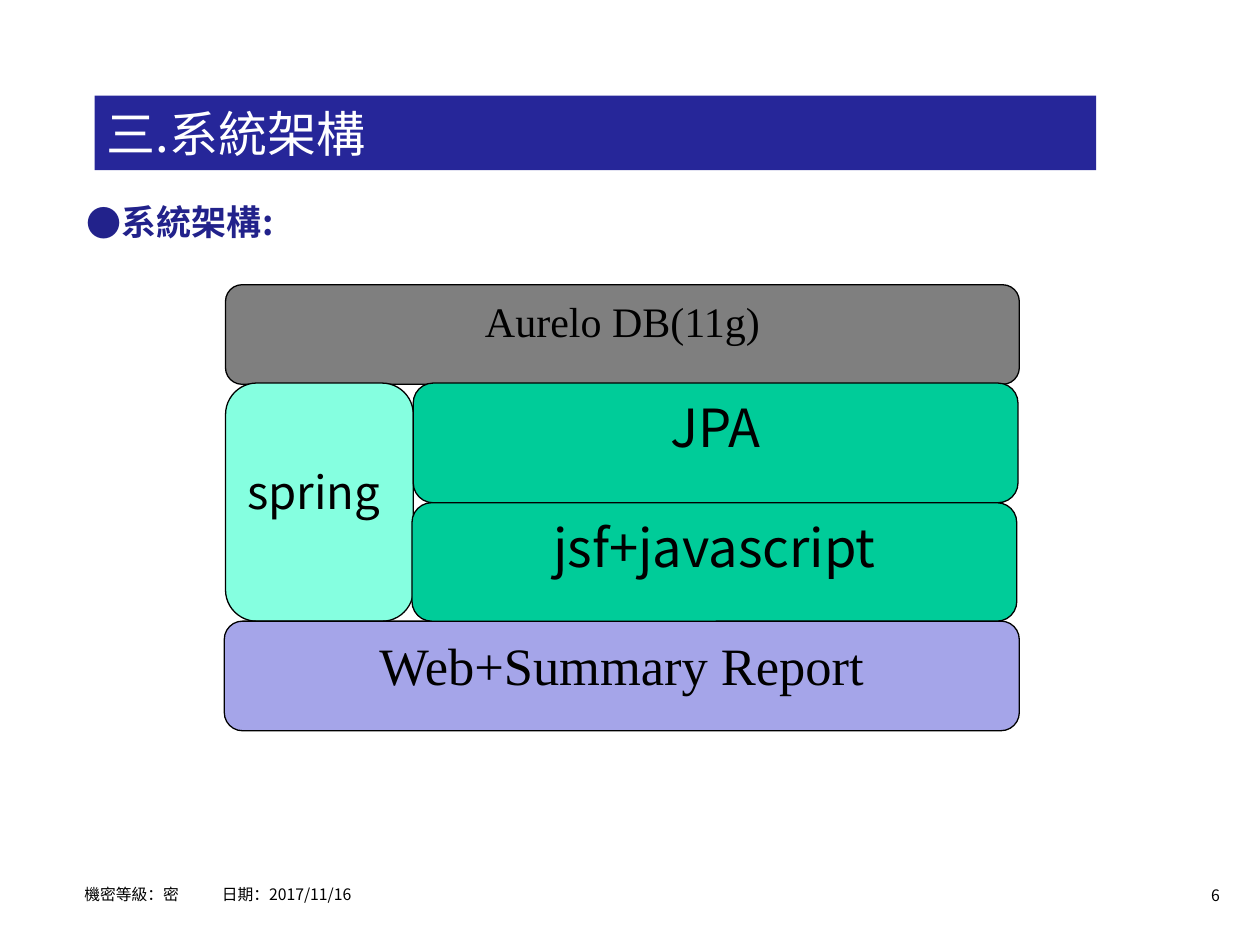
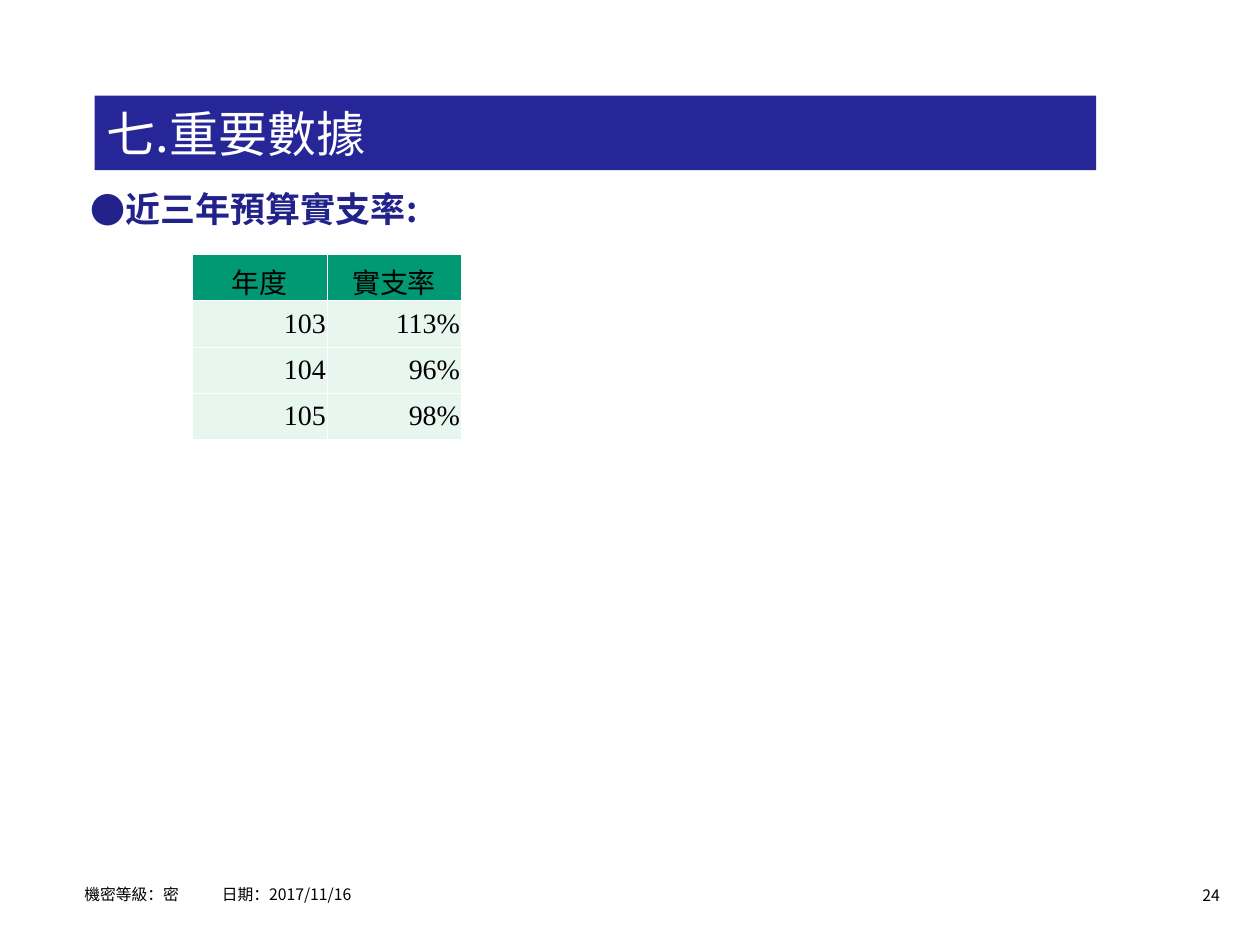
from lxml import etree
from pptx import Presentation
from pptx.dml.color import RGBColor
from pptx.enum.shapes import MSO_SHAPE
from pptx.enum.text import MSO_ANCHOR, PP_ALIGN
from pptx.oxml.ns import qn
from pptx.util import Inches, Pt

RECT, ROUND = MSO_SHAPE.RECTANGLE, MSO_SHAPE.ROUNDED_RECTANGLE
LEFT, CENTER, RIGHT = PP_ALIGN.LEFT, PP_ALIGN.CENTER, PP_ALIGN.RIGHT
TOP, MIDDLE = MSO_ANCHOR.TOP, MSO_ANCHOR.MIDDLE
SANS, SERIF = "Noto Sans CJK SC", "Times New Roman"
COLORS = {
    "black": "000000", "white": "FFFFFF", "band": "262699", "navy": "22228B",
    "gray": "7F7F7F", "mint": "85FFE0", "green": "00CC99", "lilac": "A5A5E9",
    "head": "009973", "row": "E7F6EF",
}


def color(name):
    return RGBColor.from_string(COLORS[name])


def add(parent, tag, **attrs):
    return etree.SubElement(parent, qn(tag), {k: str(v) for k, v in attrs.items()})


def write(frame, text, size=16, font=SANS, ink="black", bold=False, align=LEFT, space=None):
    para = frame.paragraphs[0]
    para.alignment = align
    if space:
        para.line_spacing = space
    run = para.add_run()
    run.text = text
    run.font.size = Pt(size)
    run.font.name = font
    run.font.bold = bold
    run.font.color.rgb = color(ink)
    add(run.font._element, "a:ea", typeface=SANS)
    return para


class Deck:
    def __init__(self):
        self.show = Presentation()
        self.show.slide_width = Inches(10)
        self.show.slide_height = Inches(7.5)
        self.slide = None

    def page(self, title, number):
        self.slide = self.show.slides.add_slide(self.show.slide_layouts[6])
        self.text(number, 9.1, 6.98, 0.68, 0.25, size=9, align=RIGHT)
        self.block(title, 0.75, 0.76, 7.95, 0.59, "band", kind=RECT, edge=False,
                   anchor=MIDDLE, size=28, ink="white", align=LEFT)
        para = self.text("機密等級：密\t日期：2017/11/16", 0.67, 6.9, 7.42, 0.31,
                         inset=0, size=9, space=1.5)
        tabs = add(para._p.get_or_add_pPr(), "a:tabLst")
        add(tabs, "a:tab", pos=Inches(1.09), algn="l")

    def text(self, text, x, y, w, h, inset=0.1, **style):
        box = self.slide.shapes.add_textbox(Inches(x), Inches(y), Inches(w), Inches(h))
        frame = box.text_frame
        frame.word_wrap = True
        frame.margin_left = Inches(inset)
        return write(frame, text, **style)

    def bullet(self, text, x, y):
        para = self.text(text, x, y, 8.74, 5.46, size=20, ink="navy", bold=True)
        props = para._p.get_or_add_pPr()
        props.set("marL", str(Inches(0.25)))
        props.set("indent", str(-Inches(0.25)))
        add(add(props, "a:buClr"), "a:srgbClr", val=COLORS["navy"])
        add(props, "a:buFont", typeface=SANS)
        add(props, "a:buChar", char="●")

    def block(self, text, x, y, w, h, fill, kind=ROUND, edge=True, anchor=TOP,
              top=0.05, align=CENTER, **style):
        shape = self.slide.shapes.add_shape(kind, Inches(x), Inches(y), Inches(w), Inches(h))
        shape.shadow.inherit = False
        shape.fill.solid()
        shape.fill.fore_color.rgb = color(fill)
        if edge:
            shape.line.color.rgb = color("black")
            shape.line.width = Pt(0.75)
        else:
            shape.line.fill.background()
        frame = shape.text_frame
        frame.word_wrap = True
        frame.vertical_anchor = anchor
        frame.margin_top = Inches(top)
        write(frame, text, align=align, **style)

    def table(self, rows, x, y, w, h):
        grid = self.slide.shapes.add_table(
            len(rows), len(rows[0]), Inches(x), Inches(y), Inches(w), Inches(h)).table
        for r, row in enumerate(rows):
            for c, text in enumerate(row):
                cell = grid.cell(r, c)
                cell.margin_left = cell.margin_right = Inches(0.01)
                cell.vertical_anchor = MIDDLE
                write(cell.text_frame, text, font=SERIF, align=RIGHT if r else CENTER)
                self.border(cell)
                cell.fill.solid()
                cell.fill.fore_color.rgb = color("row" if r else "head")

    def border(self, cell):
        props = cell._tc.get_or_add_tcPr()
        for side in ("a:lnL", "a:lnR", "a:lnT", "a:lnB"):
            line = add(props, side, w=Pt(0.45))
            add(add(line, "a:solidFill"), "a:srgbClr", val=COLORS["white"])


def main():
    deck = Deck()

    deck.page("三.系統架構", "6")
    deck.bullet("系統架構:", 0.59, 1.54)
    deck.block("Aurelo DB(11g)", 1.79, 2.26, 6.3, 0.79, "gray", size=24, font=SERIF)
    deck.block("spring", 1.79, 3.04, 1.49, 1.89, "mint", size=26, align=LEFT, top=0.57)
    deck.block("Web+Summary Report", 1.78, 4.93, 6.31, 0.87, "lilac", size=30, font=SERIF)
    deck.block("JPA", 3.28, 3.04, 4.8, 0.95, "green", size=30)
    deck.block("jsf+javascript", 3.27, 3.99, 4.8, 0.94, "green", size=30)

    deck.page("七.重要數據", "24")
    deck.bullet("近三年預算實支率:", 0.62, 1.44)
    rows = [("年度", "實支率"), ("103", "113%"), ("104", "96%"), ("105", "98%")]
    deck.table(rows, 1.53, 2.02, 2.13, 1.18)

    deck.show.save("out.pptx")


if __name__ == "__main__":
    main()
